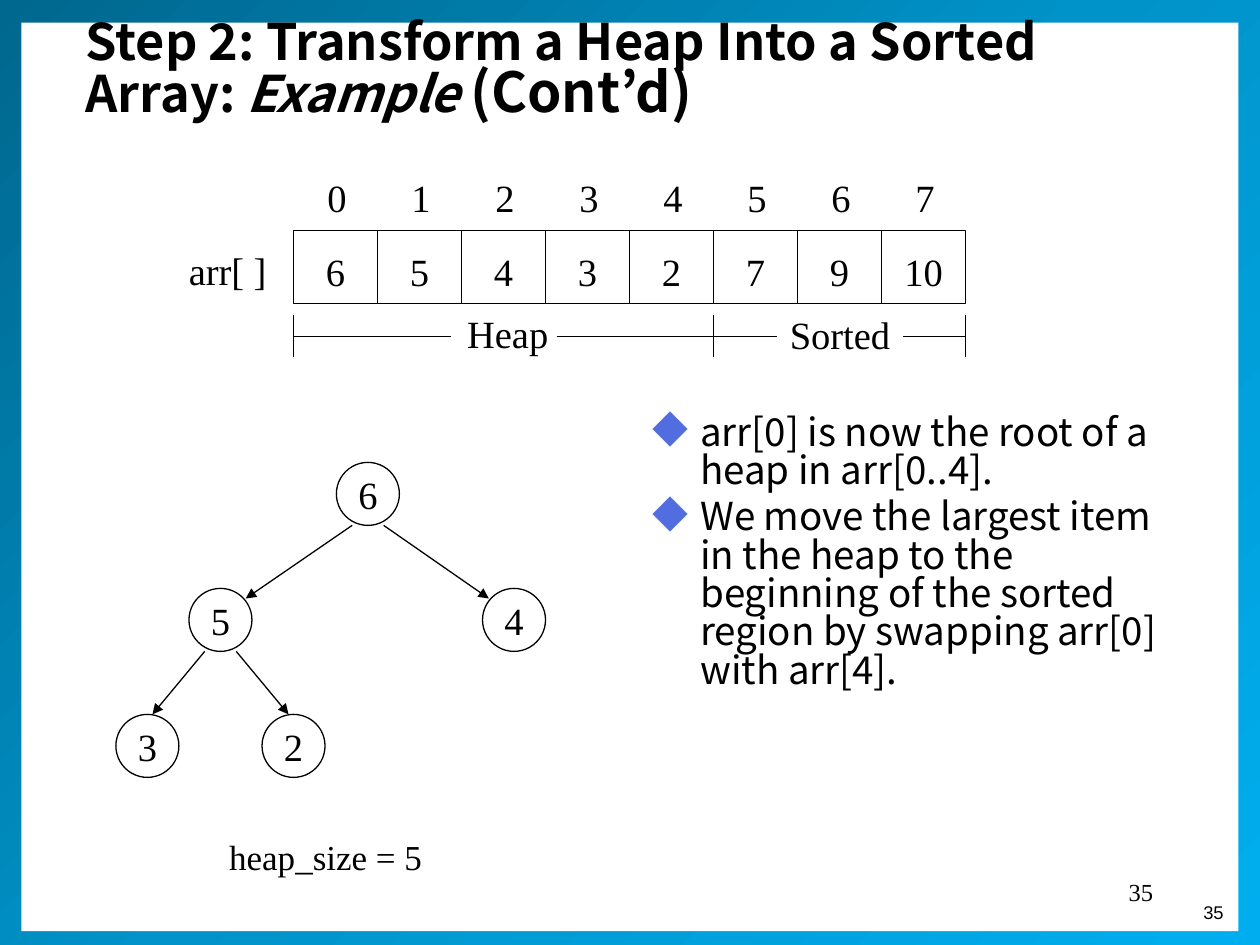
import copy
from dataclasses import dataclass

import lxml.etree
import pptx
import pptx.dml.color
import pptx.enum.dml
import pptx.enum.shapes
import pptx.enum.text
import pptx.oxml.ns
import pptx.util

Inches, Pt = pptx.util.Inches, pptx.util.Pt
RGB = pptx.dml.color.RGBColor.from_string
SHAPE = pptx.enum.shapes.MSO_SHAPE
ALIGN = pptx.enum.text.PP_ALIGN
ANCHOR = pptx.enum.text.MSO_ANCHOR
qn = pptx.oxml.ns.qn


@dataclass(frozen=True)
class Theme:
    ink: str = "000000"
    paper: str = "FFFFFF"
    bullet: str = "526DE0"
    frame: tuple = ((0, "00678E"), (0.5, "0093C9"), (1, "00AEEF"))
    sans: str = "Noto Sans CJK KR"
    serif: str = "Times New Roman"
    number_font: str = "Arial"
    title_size: float = 28.8
    title_end_size: float = 31.5
    text_size: float = 22
    note_size: float = 20
    page_size: float = 14
    corner_size: float = 10.5
    line: float = 0.75


THEME = Theme()

TITLE = [  # text, size, italic
    ("Step 2: Transform a Heap Into a Sorted Array: ", THEME.title_size, False),
    ("Example ", THEME.title_size, True),
    ("(Cont’d)", THEME.title_end_size, False),
]
BULLETS = [
    "arr[0] is now the root of a heap in arr[0..4].",
    "We move the largest item in the heap to the beginning of the sorted region "
    "by swapping arr[0] with arr[4].",
]
ARRAY = [6, 5, 4, 3, 2, 7, 9, 10]
REGIONS = [("Heap", (3.61, 2.41, 0.87)), ("Sorted", (6.17, 2.42, 1))]
HEAP_SIZE = 5
RULES = [(2.33, 3.58), (4.42, 6.17), (7.17, 7.67)]

# Tree nodes in heap order: centre x and level
NODES = [(2.92, 0), (1.75, 1), (4.08, 1), (1.17, 2), (2.33, 2)]
# Arrow tip by child level: distance from the child's centre, drop below its top
TIPS = {1: (0.2, 0.08), 2: (0.04, 0)}

CELL_LEFT, CELL_TOP, CELL_WIDTH, CELL_HEIGHT = 2.33, 1.83, 2 / 3, 0.58
NODE, TREE_TOP, LEVEL_STEP = 0.5, 3.67, 1


def add_run(paragraph, text, size, font=THEME.serif, bold=False, italic=False):
    run = paragraph.add_run()
    run.text = text
    run.font.name, run.font.size = font, Pt(size)
    run.font.bold, run.font.italic = bold, italic
    run.font.color.rgb = RGB(THEME.ink)


def add_text(shapes, text, box, size=THEME.text_size, font=THEME.serif,
             align=ALIGN.LEFT, anchor=ANCHOR.TOP, wrap=False):
    frame = shapes.add_textbox(*map(Inches, box)).text_frame
    frame.word_wrap, frame.vertical_anchor = wrap, anchor
    frame.paragraphs[0].alignment = align
    add_run(frame.paragraphs[0], text, size, font)


def add_outline(shapes, kind, box, text, margin_top=0):
    """Add an unfilled shape with a centred value."""
    shape = shapes.add_shape(kind, *map(Inches, box))
    shape.shadow.inherit = False
    shape.fill.background()
    shape.line.color.rgb, shape.line.width = RGB(THEME.ink), Pt(THEME.line)
    frame = shape.text_frame
    frame.margin_left = frame.margin_right = frame.margin_bottom = 0
    frame.margin_top = Inches(margin_top)
    frame.word_wrap, frame.vertical_anchor = False, ANCHOR.MIDDLE
    frame.paragraphs[0].alignment = ALIGN.CENTER
    add_run(frame.paragraphs[0], text, THEME.text_size)


def add_line(shapes, start, end, arrow=False):
    line = shapes.add_connector(pptx.enum.shapes.MSO_CONNECTOR.STRAIGHT,
                                *map(Inches, start + end))
    line.line.color.rgb, line.line.width = RGB(THEME.ink), Pt(THEME.line)
    properties = line.element.spPr
    if arrow:
        lxml.etree.SubElement(properties.find(qn("a:ln")), qn("a:tailEnd"), type="triangle")
    lxml.etree.SubElement(properties, qn("a:effectLst"))


def add_frame(slide):
    """Add the gradient border and the white page inside it."""
    border, page = (
        slide.shapes.add_shape(SHAPE.RECTANGLE, *map(Inches, box))
        for box in ((0, -0.04, 10, 7.59), (0.17, 0.18, 9.66, 7.21)))
    for shape in (border, page):
        shape.shadow.inherit = False
        shape.line.fill.background()
    page.fill.solid()
    page.fill.fore_color.rgb = RGB(THEME.paper)
    border.fill.gradient()
    border.fill.gradient_angle = 315
    stops = border.element.spPr.find(qn("a:gradFill")).find(qn("a:gsLst"))
    stops.insert(1, copy.deepcopy(stops[0]))
    for stop, (position, colour) in zip(border.fill.gradient_stops, THEME.frame):
        stop.position, stop.color.rgb = position, RGB(colour)


def add_title(slide):
    title = slide.shapes.title
    slide.shapes.element.append(title.element)  # in front of the frame
    title.left, title.top, title.width, title.height = map(Inches, (0.58, 0, 8.83, 1.15))
    frame = title.text_frame
    frame.auto_size = pptx.enum.text.MSO_AUTO_SIZE.NONE
    frame.word_wrap, frame.vertical_anchor = True, ANCHOR.MIDDLE
    paragraph = frame.paragraphs[0]
    paragraph.alignment, paragraph.line_spacing = ALIGN.LEFT, 0.8
    for text, size, italic in TITLE:
        add_run(paragraph, text, size, THEME.sans, bold=True, italic=italic)


def add_bullets(slide):
    frame = slide.shapes.add_textbox(*map(Inches, (5.08, 3.25, 4.25, 3.67))).text_frame
    frame.word_wrap = True
    for index, text in enumerate(BULLETS):
        paragraph = frame.add_paragraph() if index else frame.paragraphs[0]
        paragraph.line_spacing, paragraph.space_before = 0.83, Pt(4.4)
        add_run(paragraph, text, THEME.text_size, THEME.sans)
        properties = paragraph._p.get_or_add_pPr()
        properties.set("marL", str(Inches(0.38)))
        properties.set("indent", str(-Inches(0.38)))
        colour = lxml.etree.SubElement(properties, qn("a:buClr"))
        lxml.etree.SubElement(colour, qn("a:srgbClr"), val=THEME.bullet)
        lxml.etree.SubElement(properties, qn("a:buSzPct"), val="120000")
        lxml.etree.SubElement(properties, qn("a:buChar"), char="◆")


def add_tree(slide):
    shapes = slide.shapes.add_group_shape().shapes
    for index, (centre, level) in enumerate(NODES):
        top = TREE_TOP + level * LEVEL_STEP
        add_outline(shapes, SHAPE.OVAL, (centre - NODE / 2, top, NODE, NODE), str(ARRAY[index]))
        if index:
            parent, parent_level = NODES[(index - 1) // 2]
            side = 1 if centre > parent else -1
            across, drop = TIPS[level]
            bottom = TREE_TOP + parent_level * LEVEL_STEP + NODE
            add_line(shapes, (parent + side * NODE / 4, bottom),
                     (centre - side * across, top + drop), arrow=True)


def add_array(slide):
    shapes = slide.shapes.add_group_shape().shapes
    for index, value in enumerate(ARRAY):
        left = CELL_LEFT + index * CELL_WIDTH
        add_outline(shapes, SHAPE.RECTANGLE, (left, CELL_TOP, CELL_WIDTH, CELL_HEIGHT),
                    str(value), margin_top=0.06)
        add_text(shapes, str(index), (left + 0.17, 1.33, 0.35, 0.47), align=ALIGN.CENTER)
    add_text(shapes, "arr[ ]", (1.4, 1.91, 0.83, 0.47), anchor=ANCHOR.MIDDLE)
    for text, place in REGIONS:
        add_text(shapes, text, place + (0.47,), anchor=ANCHOR.MIDDLE)
    for boundary in (0, HEAP_SIZE, len(ARRAY)):
        x = CELL_LEFT + boundary * CELL_WIDTH
        add_line(shapes, (x, 2.5), (x, 2.83))
    for start, end in RULES:
        add_line(shapes, (start, 2.67), (end, 2.67))


def main():
    presentation = pptx.Presentation()
    presentation.slide_width, presentation.slide_height = Inches(10), Inches(7.5)
    slide = presentation.slides.add_slide(presentation.slide_layouts[5])
    add_frame(slide)
    add_text(slide.shapes, "35", (9.42, 7.1, 0.39, 0.28), THEME.corner_size,
             THEME.number_font, ALIGN.RIGHT)
    add_text(slide.shapes, "35", (7.17, 6.83, 2.08, 0.5), THEME.page_size,
             align=ALIGN.RIGHT, anchor=ANCHOR.MIDDLE, wrap=True)
    add_title(slide)
    add_bullets(slide)
    add_tree(slide)
    add_array(slide)
    add_text(slide.shapes, f"heap_size = {HEAP_SIZE}", (1.72, 6.58, 2.28, 0.44),
             THEME.note_size, wrap=True)
    presentation.save("out.pptx")


if __name__ == "__main__":
    main()
